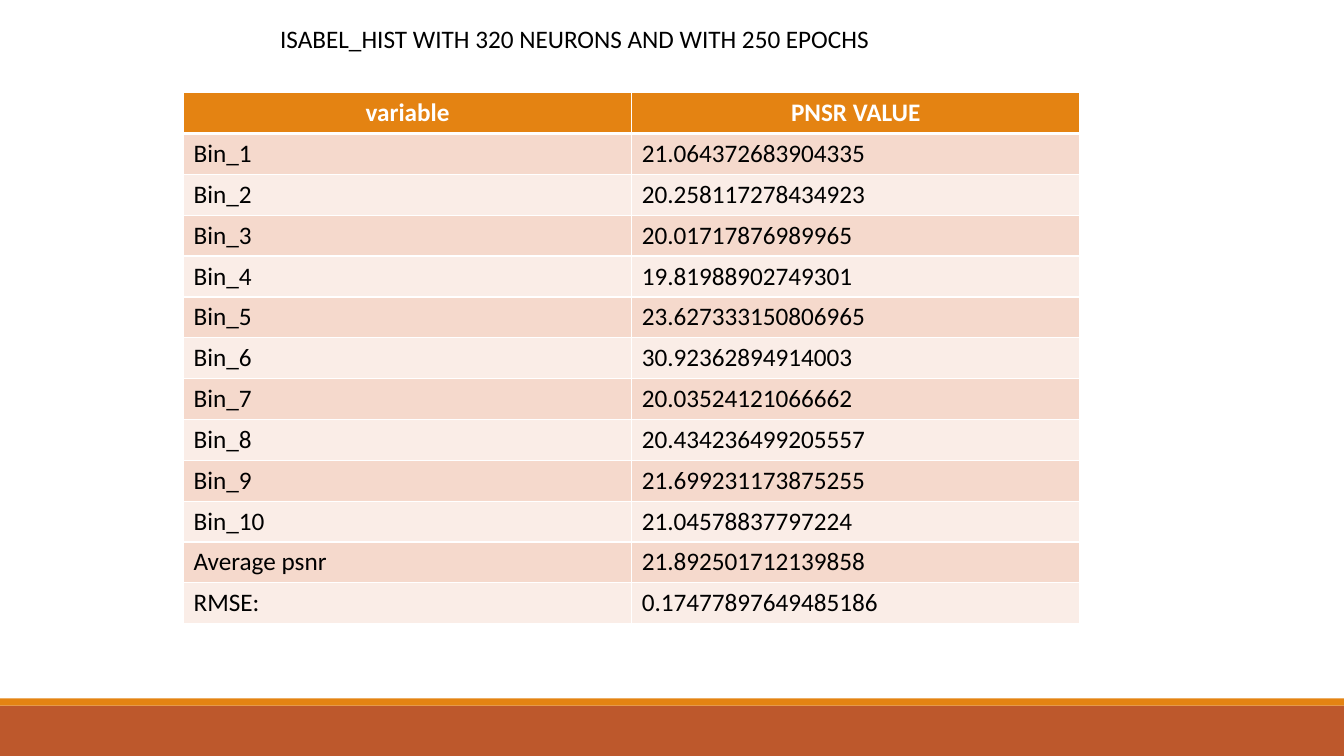
import pptx
import pptx.dml.color
import pptx.enum.shapes
import pptx.enum.text
import pptx.oxml
import pptx.oxml.ns
import pptx.util

Inches = pptx.util.Inches
RGBColor = pptx.dml.color.RGBColor

HEADING = "ISABEL_HIST WITH 320 NEURONS AND WITH 250 EPOCHS"
RESULTS = [
    ("variable", "PNSR VALUE"),
    ("Bin_1", "21.064372683904335"),
    ("Bin_2", "20.258117278434923"),
    ("Bin_3", "20.01717876989965"),
    ("Bin_4", "19.81988902749301"),
    ("Bin_5", "23.627333150806965"),
    ("Bin_6", "30.92362894914003"),
    ("Bin_7", "20.03524121066662"),
    ("Bin_8", "20.434236499205557"),
    ("Bin_9", "21.699231173875255"),
    ("Bin_10", "21.04578837797224"),
    ("Average psnr", "21.892501712139858"),
    ("RMSE:", "0.17477897649485186"),
]

ORANGE = RGBColor(0xE4, 0x83, 0x12)
RUST = RGBColor(0xBD, 0x58, 0x2C)
DARK_BAND = RGBColor(0xF5, 0xD9, 0xCC)
LIGHT_BAND = RGBColor(0xFA, 0xED, 0xE7)
WHITE = RGBColor(0xFF, 0xFF, 0xFF)
BLACK = RGBColor(0, 0, 0)

FOOTER_BANDS = [(7, 0.5, RUST), (6.93, 0.07, ORANGE)]


def write(frame, text, color=BLACK, bold=False, align=pptx.enum.text.PP_ALIGN.LEFT):
    paragraph = frame.paragraphs[0]
    paragraph.alignment = align
    run = paragraph.add_run()
    run.text = text
    run.font.name = "Calibri"
    run.font.size = pptx.util.Pt(18)
    run.font.bold = bold
    run.font.color.rgb = color


def add_border(cell, side, points):
    cell._tc.get_or_add_tcPr().append(pptx.oxml.parse_xml(
        f'<a:{side} {pptx.oxml.ns.nsdecls("a")} w="{pptx.util.Pt(points)}">'
        f'<a:solidFill><a:srgbClr val="{WHITE}"/></a:solidFill></a:{side}>'))


def main():
    deck = pptx.Presentation()
    deck.slide_width, deck.slide_height = Inches(13.33), Inches(7.5)
    slide = deck.slides.add_slide(deck.slide_layouts[6])

    for top, height, color in FOOTER_BANDS:
        band = slide.shapes.add_shape(
            pptx.enum.shapes.MSO_SHAPE.RECTANGLE,
            0, Inches(top), deck.slide_width, Inches(height))
        band.shadow.inherit = False
        band.fill.solid()
        band.fill.fore_color.rgb = color
        band.line.fill.background()

    heading = slide.shapes.add_textbox(
        Inches(2.68), Inches(0.18), Inches(7.57), Inches(0.4)).text_frame
    heading.word_wrap = True
    heading.auto_size = pptx.enum.text.MSO_AUTO_SIZE.SHAPE_TO_FIT_TEXT
    write(heading, HEADING)

    results = slide.shapes.add_table(
        len(RESULTS), len(RESULTS[0]),
        Inches(1.82), Inches(0.92), Inches(8.89), Inches(5.27)).table
    for row, values in enumerate(RESULTS):
        is_header = row == 0
        fill = ORANGE if is_header else DARK_BAND if row % 2 else LIGHT_BAND
        borders = {"lnL": 1, "lnR": 1, "lnT": 3 if row == 1 else 1, "lnB": 3 if is_header else 1}
        for column, value in enumerate(values):
            cell = results.cell(row, column)
            for side, points in borders.items():
                add_border(cell, side, points)
            cell.fill.solid()
            cell.fill.fore_color.rgb = fill
            if is_header:
                write(cell.text_frame, value, color=WHITE, bold=True,
                      align=pptx.enum.text.PP_ALIGN.CENTER)
            else:
                write(cell.text_frame, value)

    deck.save("out.pptx")


if __name__ == "__main__":
    main()
